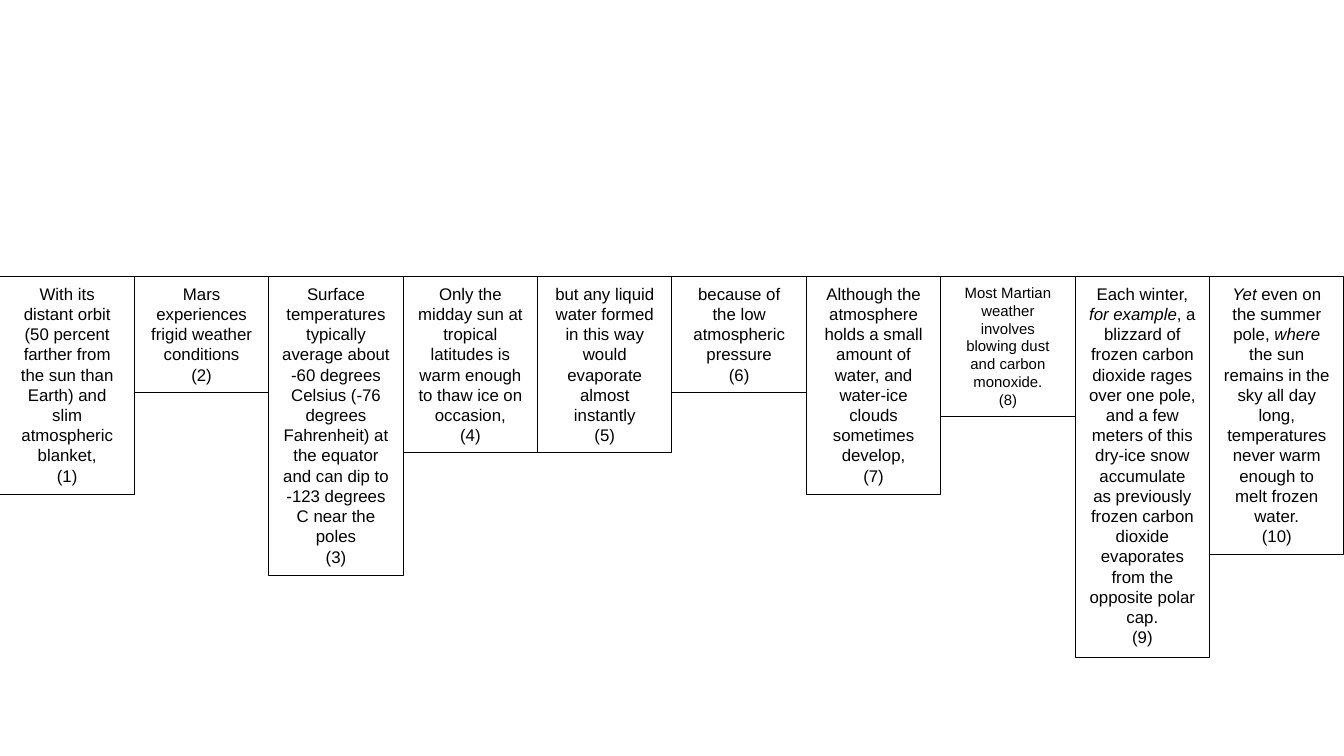
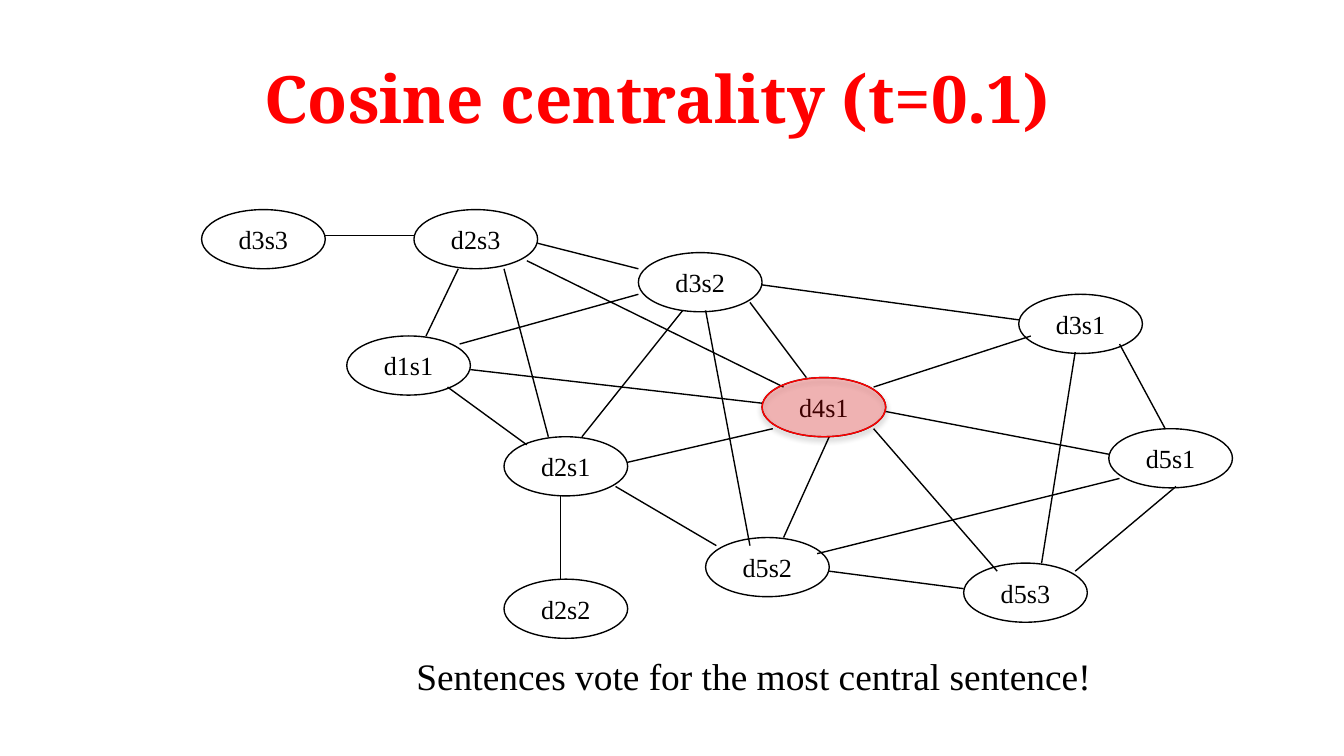
import pptx
import pptx.dml.color
import pptx.enum.shapes
import pptx.enum.text
import pptx.oxml.ns
import pptx.util
from dataclasses import dataclass
from lxml import etree

Inches = pptx.util.Inches
Pt = pptx.util.Pt
qn = pptx.oxml.ns.qn
Shape = pptx.enum.shapes.MSO_SHAPE
Align = pptx.enum.text.PP_ALIGN
Anchor = pptx.enum.text.MSO_ANCHOR
AutoSize = pptx.enum.text.MSO_AUTO_SIZE


@dataclass(frozen=True)
class Theme:
    ink: str = "000000"
    accent: str = "FF0000"
    sans: str = "Arial"
    serif: str = "Times New Roman"
    display: str = "Noto Serif"
    clause_size: int = 9
    small_clause_size: int = 8
    node_size: int = 14
    caption_size: int = 20
    title_size: int = 35
    box_line: float = 0.5
    graph_line: float = 0.75


THEME = Theme()
PAGE_WIDTH = 10
PAGE_HEIGHT = PAGE_WIDTH * 9 / 16

# Clauses in reading order: (height, [(text, italic), ...])
CLAUSES = [
    (1.62, [("With its distant orbit (50 percent farther from the sun than Earth) "
             "and slim atmospheric blanket,", False)]),
    (0.86, [("Mars experiences frigid weather conditions", False)]),
    (2.22, [("Surface temperatures typically average about -60 degrees Celsius "
             "(-76 degrees Fahrenheit) at the equator and can dip to -123 degrees C "
             "near the poles", False)]),
    (1.31, [("Only the midday sun at tropical latitudes is warm enough to thaw ice "
             "on occasion,", False)]),
    (1.31, [("but any liquid water formed in this way would evaporate almost "
             "instantly", False)]),
    (0.86, [("because of the low atmospheric pressure", False)]),
    (1.62, [("Although the atmosphere holds a small amount of water, and water-ice "
             "clouds sometimes develop,", False)]),
    (1.04, [("Most Martian weather involves blowing dust and carbon monoxide.", False)]),
    (2.83, [("Each winter, ", False), ("for example", True),
            (", a blizzard of frozen carbon dioxide rages over one pole, and a few "
             "meters of this dry-ice snow accumulate as previously frozen carbon "
             "dioxide evaporates from the opposite polar cap.", False)]),
    (2.07, [("Yet", True), (" even on the summer pole, ", False), ("where", True),
            (" the sun remains in the sky all day long, temperatures never warm "
             "enough to melt frozen water.", False)]),
]
SMALL_CLAUSE = 8
CLAUSE_TOP = 2.06
CLAUSE_WIDTH = PAGE_WIDTH / len(CLAUSES)

TITLE = "Cosine centrality (t=0.1)"
CAPTION = "Sentences vote for the most central sentence!"
NODE_WIDTH, NODE_HEIGHT = 0.92, 0.44
CENTRAL = "d4s1"

# Top left corner of each sentence node
NODES = {
    "d4s1": (5.67, 2.81), "d1s1": (2.58, 2.5), "d3s2": (4.75, 1.88),
    "d3s1": (7.58, 2.19), "d2s3": (3.08, 1.56), "d3s3": (1.5, 1.56),
    "d2s1": (3.75, 3.25), "d2s2": (3.75, 4.31), "d5s2": (5.25, 4),
    "d5s3": (7.17, 4.19), "d5s1": (8.25, 3.19),
}

# Similarity edges: start x, start y, end x, end y
EDGES = [
    (2.42, 1.75, 3.08, 1.75), (3.41, 2, 3.17, 2.5), (4, 1.81, 4.75, 2),
    (3.33, 2.88, 3.92, 3.31), (4.33, 3.25, 5.08, 2.31), (3.75, 2, 4.08, 3.25),
    (4.17, 3.69, 4.17, 4.31), (4.58, 3.62, 5.33, 4.06), (5.25, 2.31, 5.58, 4.06),
    (3.42, 2.56, 4.75, 2.19), (3.92, 1.94, 5.83, 2.88), (3.5, 2.75, 5.67, 3),
    (4.67, 3.44, 5.75, 3.19), (6.17, 3.25, 5.83, 4), (6.5, 3.19, 7.42, 4.25),
    (6.17, 4.25, 7.17, 4.38), (8, 4.25, 8.75, 3.62), (8, 2.62, 7.75, 4.19),
    (8.33, 2.56, 8.67, 3.19), (5.67, 2.12, 7.58, 2.38), (5.58, 2.25, 6, 2.81),
    (6.58, 3.06, 8.25, 3.38), (6.08, 4.12, 8.33, 3.56), (6.5, 2.88, 7.67, 2.5),
]


def rgb(color):
    return pptx.dml.color.RGBColor.from_string(color)


def add_span(para, text, font, size, color=THEME.ink, bold=None, italic=None):
    span = para.add_run()
    span.text = text
    span.font.name = font
    span.font.size = Pt(size)
    span.font.color.rgb = rgb(color)
    span.font.bold = bold
    span.font.italic = italic


def add_outline(page, kind, left, top, width, height, weight, color=THEME.ink):
    box = page.shapes.add_shape(kind, Inches(left), Inches(top),
                                Inches(width), Inches(height))
    box.shadow.inherit = False
    box.fill.background()
    box.line.color.rgb = rgb(color)
    box.line.width = Pt(weight)
    return box


def add_label(page, left, top, width, height, text, wrap, align, **style):
    box = page.shapes.add_textbox(Inches(left), Inches(top),
                                  Inches(width), Inches(height))
    box.text_frame.word_wrap = wrap
    para = box.text_frame.paragraphs[0]
    para.alignment = align
    add_span(para, text, **style)
    return box


def add_clause(page, number, height, parts):
    box = add_outline(page, Shape.RECTANGLE, (number - 1) * CLAUSE_WIDTH, CLAUSE_TOP,
                      CLAUSE_WIDTH, height, THEME.box_line)
    frame = box.text_frame
    frame.word_wrap = True
    frame.auto_size = AutoSize.SHAPE_TO_FIT_TEXT
    frame.vertical_anchor = Anchor.TOP
    para = frame.paragraphs[0]
    para.alignment = Align.CENTER
    # Space before as a share of the line
    before = etree.SubElement(para._p.get_or_add_pPr(), qn("a:spcBef"))
    etree.SubElement(before, qn("a:spcPct"), val="50000")
    size = THEME.small_clause_size if number == SMALL_CLAUSE else THEME.clause_size
    for text, italic in parts:
        add_span(para, text, THEME.sans, size, italic=italic)
    para.add_line_break()
    add_span(para, f"({number})", THEME.sans, size)


def add_node(page, name, left, top):
    box = add_outline(page, Shape.OVAL, left, top, NODE_WIDTH, NODE_HEIGHT,
                      THEME.graph_line)
    frame = box.text_frame
    frame.word_wrap = False
    frame.vertical_anchor = Anchor.MIDDLE
    para = frame.paragraphs[0]
    para.alignment = Align.CENTER
    add_span(para, name, THEME.serif, THEME.node_size)


def add_edge(page, *ends):
    edge = page.shapes.add_connector(pptx.enum.shapes.MSO_CONNECTOR.STRAIGHT,
                                     *map(Inches, ends))
    edge.line.color.rgb = rgb(THEME.ink)
    edge.line.width = Pt(THEME.graph_line)
    etree.SubElement(edge._element.spPr, qn("a:effectLst"))


def add_highlight(page, left, top):
    glow = add_outline(page, Shape.OVAL, left, top, NODE_WIDTH, NODE_HEIGHT,
                       THEME.graph_line, THEME.accent)
    glow.fill.solid()
    glow.fill.fore_color.rgb = rgb(THEME.accent)
    properties = glow._element.spPr
    tint = properties.find(qn("a:solidFill")).find(qn("a:srgbClr"))
    etree.SubElement(tint, qn("a:alpha"), val="24000")
    # Soft shadow straight below
    shadow = etree.SubElement(properties.find(qn("a:effectLst")), qn("a:outerShdw"),
                              blurRad=str(Pt(3.1)), dist=str(Pt(1.8)),
                              dir="5400000", rotWithShape="0")
    shade = etree.SubElement(shadow, qn("a:srgbClr"), val=THEME.ink)
    etree.SubElement(shade, qn("a:alpha"), val="35000")


def build_clauses(page):
    for number, (height, parts) in enumerate(CLAUSES, start=1):
        add_clause(page, number, height, parts)


def build_graph(page):
    for name, corner in NODES.items():
        add_node(page, name, *corner)
    for ends in EDGES:
        add_edge(page, *ends)
    title = add_label(page, 0.28, 0.43, 9.22, 0.77, TITLE, True, Align.CENTER,
                      font=THEME.display, size=THEME.title_size,
                      color=THEME.accent, bold=True)
    title.text_frame.margin_top = 0
    title.text_frame.vertical_anchor = Anchor.TOP
    caption = add_label(page, 3, 4.81, 5.25, 0.44, CAPTION, False, Align.LEFT,
                        font=THEME.serif, size=THEME.caption_size)
    caption.text_frame.auto_size = AutoSize.SHAPE_TO_FIT_TEXT
    add_highlight(page, *NODES[CENTRAL])


def main():
    deck = pptx.Presentation()
    deck.slide_width, deck.slide_height = Inches(PAGE_WIDTH), Inches(PAGE_HEIGHT)
    for build in (build_clauses, build_graph):
        build(deck.slides.add_slide(deck.slide_layouts[6]))
    deck.save("out.pptx")


if __name__ == "__main__":
    main()
